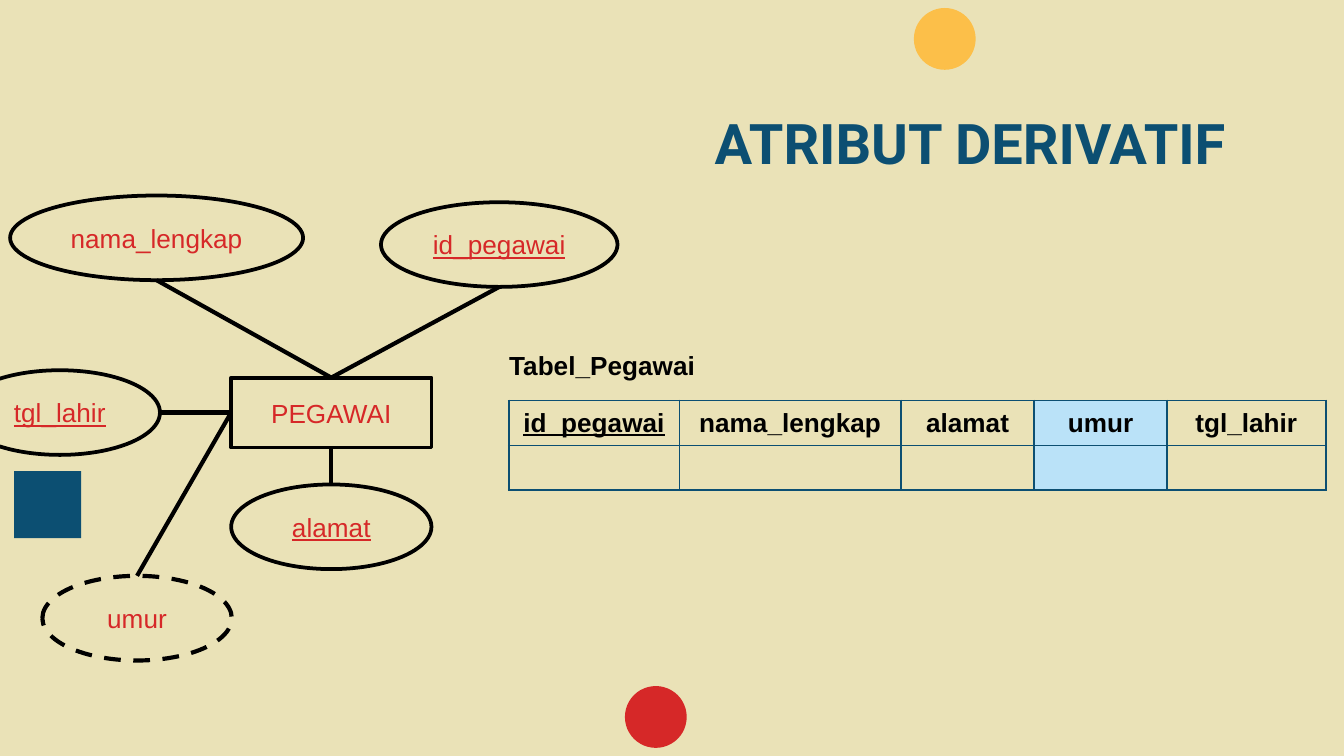
from dataclasses import dataclass
from typing import Optional

import pptx
import pptx.dml.color
import pptx.enum.dml
import pptx.enum.shapes
import pptx.enum.text
import pptx.oxml.ns
import pptx.util
from lxml import etree

PX = 4572  # EMU per px, 200 px to the inch
CREAM, NAVY, RED, YELLOW = "EAE2B7", "0C4F72", "D62828", "FCBF49"
BLACK, SKY = "000000", "BAE2F8"
SHAPES = pptx.enum.shapes.MSO_SHAPE
ALIGN = pptx.enum.text.PP_ALIGN
MIDDLE = pptx.enum.text.MSO_ANCHOR.MIDDLE
TOP, LEFT, BOTTOM = 0, 1, 2  # connection sites of the entity rectangle
ATTRIBUTE_HEIGHT = 126


@dataclass
class Box:
    left: int
    top: int
    width: int
    height: int

    def emu(self) -> list:
        return [px(n) for n in (self.left, self.top, self.width, self.height)]


@dataclass
class Decoration:
    kind: int
    box: Box
    color: str


@dataclass
class Attribute:
    name: str
    left: int
    top: int
    width: int
    entity_site: int
    side: str  # where the line meets the ellipse
    underline: bool = False
    dashed: bool = False
    fill: Optional[str] = CREAM

    def line_end(self) -> tuple:
        middle = self.left + self.width // 2
        return {
            "top": (middle, self.top),
            "bottom": (middle, self.top + ATTRIBUTE_HEIGHT),
            "right": (self.left + self.width, self.top + ATTRIBUTE_HEIGHT // 2),
        }[self.side]


@dataclass
class Column:
    name: str
    width: int
    underline: bool = False
    fill: Optional[str] = None


DECORATIONS = [
    Decoration(SHAPES.RECTANGLE, Box(21, 701, 100, 100), NAVY),
    Decoration(SHAPES.OVAL, Box(1360, 12, 92, 92), YELLOW),
    Decoration(SHAPES.OVAL, Box(930, 1021, 92, 92), RED),
]
ATTRIBUTES = [
    Attribute("id_pegawai", 567, 301, 352, TOP, "bottom", underline=True),
    Attribute("nama_lengkap", 15, 291, 436, TOP, "bottom", fill=None),
    Attribute("tgl_lahir", -60, 551, 298, LEFT, "right", underline=True),
    Attribute("alamat", 344, 721, 298, BOTTOM, "top", underline=True),
    Attribute("umur", 63, 857, 282, LEFT, "top", dashed=True),
]
COLUMNS = [
    Column("id_pegawai", 254, underline=True),
    Column("nama_lengkap", 330),
    Column("alamat", 198),
    Column("umur", 198, fill=SKY),
    Column("tgl_lahir", 236),
]


def px(length: int) -> int:
    return pptx.util.Emu(length * PX)


def rgb(color: str):
    return pptx.dml.color.RGBColor.from_string(color)


def paint(fill, color: Optional[str]) -> None:
    if color is None:
        fill.background()
    else:
        fill.solid()
        fill.fore_color.rgb = rgb(color)


def write(frame, text: str, color: str, size: int = 14, font: str = "Arial",
          align=ALIGN.CENTER, bold: bool = False, underline: bool = False) -> None:
    frame.text = text
    paragraph = frame.paragraphs[0]
    paragraph.alignment = align
    for run in paragraph.runs:
        run.font.name = font
        run.font.size = pptx.util.Pt(size)
        run.font.bold = bold
        run.font.underline = underline
        run.font.color.rgb = rgb(color)


def add_shape(slide, kind, box: Box, fill: Optional[str], line_width: float = 0):
    shape = slide.shapes.add_shape(kind, *box.emu())
    shape.shadow.inherit = False
    paint(shape.fill, fill)
    paint(shape.line.fill, BLACK if line_width else None)
    if line_width:
        shape.line.width = pptx.util.Pt(line_width)
    return shape


def add_label(slide, box: Box, text: str, inset: Optional[int] = None, **style) -> None:
    frame = slide.shapes.add_textbox(*box.emu()).text_frame
    frame.word_wrap = True
    if inset is not None:
        frame.margin_left = frame.margin_right = px(inset)
        frame.margin_top = frame.margin_bottom = px(inset)
    write(frame, text, bold=True, **style)


def add_attribute(slide, entity, attribute: Attribute) -> None:
    box = Box(attribute.left, attribute.top, attribute.width, ATTRIBUTE_HEIGHT)
    ellipse = add_shape(slide, SHAPES.OVAL, box, attribute.fill,
                        2.25 if attribute.dashed else 2)
    if attribute.dashed:
        ellipse.line.dash_style = pptx.enum.dml.MSO_LINE.DASH
    ellipse.text_frame.vertical_anchor = MIDDLE
    write(ellipse.text_frame, attribute.name, RED, underline=attribute.underline)

    x, y = (px(n) for n in attribute.line_end())
    connector = slide.shapes.add_connector(
        pptx.enum.shapes.MSO_CONNECTOR.STRAIGHT, x, y, x, y)
    connector.begin_connect(entity, attribute.entity_site)
    connector.line.color.rgb = rgb(BLACK)
    connector.line.width = pptx.util.Pt(2.25)
    etree.SubElement(connector._element.spPr, pptx.oxml.ns.qn("a:effectLst"))


def add_borders(cell, color: str) -> None:
    properties = cell._tc.get_or_add_tcPr()
    for side in ("lnL", "lnR", "lnT", "lnB"):
        line = etree.SubElement(properties, pptx.oxml.ns.qn(f"a:{side}"),
                                w=str(pptx.util.Pt(1)))
        solid = etree.SubElement(line, pptx.oxml.ns.qn("a:solidFill"))
        etree.SubElement(solid, pptx.oxml.ns.qn("a:srgbClr"), val=color)


def add_employee_table(slide, box: Box, row_height: int) -> None:
    graphic_frame = slide.shapes.add_table(2, len(COLUMNS), *box.emu())
    table = graphic_frame.table
    table.first_row = table.horz_banding = False
    for index, column in enumerate(COLUMNS):
        table.columns[index].width = px(column.width)
        for row in range(2):
            cell = table.cell(row, index)
            add_borders(cell, NAVY)
            paint(cell.fill, column.fill)
            cell.vertical_anchor = MIDDLE
        write(table.cell(0, index).text_frame, column.name, BLACK,
              bold=True, underline=column.underline)
        # Empty cells need a text size to keep the row low
        etree.SubElement(table.cell(1, index).text_frame.paragraphs[0]._p,
                         pptx.oxml.ns.qn("a:endParaRPr"), sz="1400")
    # Rows grow from this least height to fit their text
    for row in table.rows:
        row.height = px(row_height)
    graphic_frame.height = px(box.height)


def main() -> None:
    presentation = pptx.Presentation()
    presentation.slide_width, presentation.slide_height = px(2000), px(1125)
    slide = presentation.slides.add_slide(presentation.slide_layouts[6])
    paint(slide.background.fill, CREAM)

    # Decorations and title
    for decoration in DECORATIONS:
        add_shape(slide, decoration.kind, decoration.box, decoration.color)
    add_label(slide, Box(156, 142, 1688, 126), "ATRIBUT DERIVATIF", inset=20,
              color=NAVY, size=30, font="Roboto", align=ALIGN.RIGHT)

    # Entity with its attributes
    entity = add_shape(slide, SHAPES.RECTANGLE, Box(344, 562, 298, 104), None, 2)
    entity.text_frame.vertical_anchor = MIDDLE
    write(entity.text_frame, "PEGAWAI", RED)
    for attribute in ATTRIBUTES:
        add_attribute(slide, entity, attribute)

    # Table with its caption
    add_employee_table(slide, Box(757, 596, 1216, 134), 32)
    add_label(slide, Box(738, 510, 372, 68), "Tabel_Pegawai", color=BLACK, align=ALIGN.LEFT)

    presentation.save("out.pptx")


if __name__ == "__main__":
    main()
